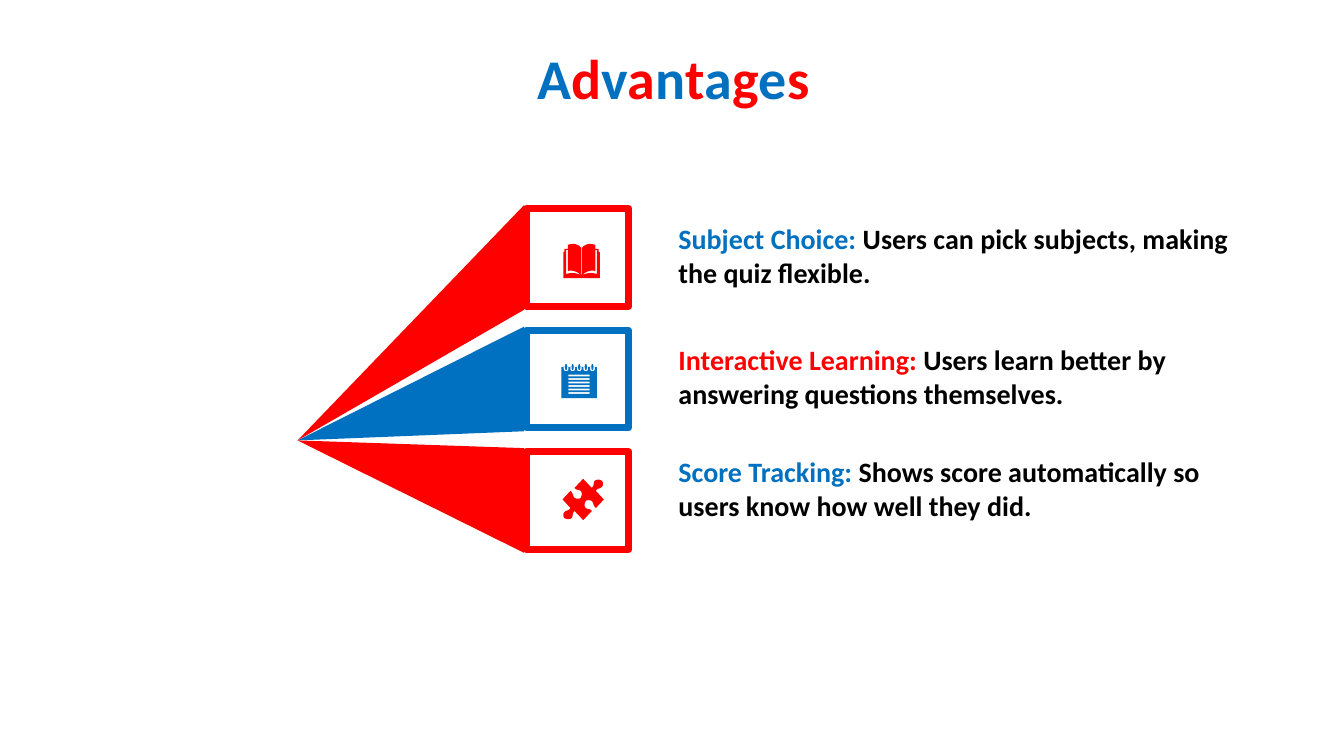
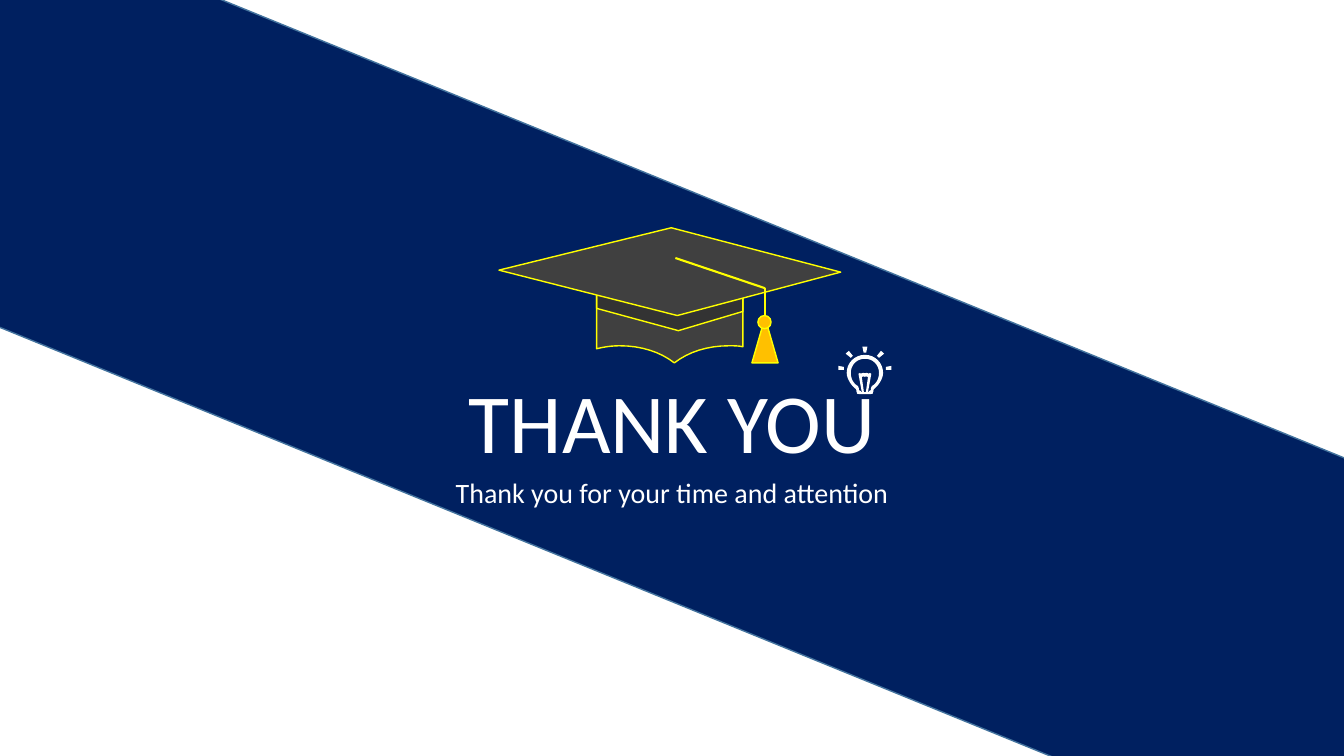
from dataclasses import dataclass
from itertools import cycle
from math import cos, pi, sin

from lxml.etree import SubElement
from pptx import Presentation
from pptx.dml.color import RGBColor
from pptx.enum.shapes import MSO_CONNECTOR, MSO_SHAPE
from pptx.enum.text import MSO_ANCHOR, MSO_AUTO_SIZE, PP_ALIGN
from pptx.oxml.ns import qn
from pptx.util import Pt

Point = tuple[float, float]
Contour = list[Point]

COLORS = {
    "red": "FF0000",
    "blue": "0070C0",
    "navy": "002060",
    "edge": "43739E",
    "white": "FFFFFF",
    "black": "000000",
    "grey": "404040",
    "yellow": "FFFF00",
    "gold": "FFC000",
}
FONT = "Calibri"
WIDTH, HEIGHT = 960, 540
BOX_LEFT, BOX_TOP, BOX_PITCH = 375.84, 149, 86.8
BOX_WIDTH, BOX_HEIGHT, BORDER = 73.4, 69.8, 5
WEDGE_TIP = (212.6, 314.6)


@dataclass
class Feature:
    heading: str
    body: str
    color: str
    text_top: float
    icon: list[Contour]
    origin: Point


def rgb(name: str) -> RGBColor:
    return RGBColor.from_string(COLORS[name])


def trace(start: Point, *steps: tuple, n: int = 8) -> Contour:
    pts = [start]
    for step in steps:
        if len(step) == 2:
            pts.append(step)
            continue
        x0, y0 = pts[-1]
        x1, y1, x2, y2, x3, y3 = step
        for k in range(1, n + 1):
            t = k / n
            a, b, c, d = (1 - t) ** 3, 3 * t * (1 - t) ** 2, 3 * t * t * (1 - t), t ** 3
            pts.append((a * x0 + b * x1 + c * x2 + d * x3,
                        a * y0 + b * y1 + c * y2 + d * y3))
    return pts


def arc(cx: float, cy: float, rx: float, ry: float, sweep: float, n: int = 16) -> Contour:
    return [(cx + rx * cos(sweep * k / n), cy + ry * sin(sweep * k / n)) for k in range(n + 1)]


def rect(x: float, y: float, w: float, h: float) -> Contour:
    return [(x, y), (x + w, y), (x + w, y + h), (x, y + h)]


def flip(pts: Contour) -> Contour:
    return [(-x, y) for x, y in reversed(pts)]


def book() -> list[Contour]:
    cover = trace((0.3, 2.9), (1.5, 1.2, 4, 0, 6.5, 0), (9.8, 0.7), (9.8, 3.6),
                  (12.2, 3.6), (12.2, 5.8), (13, 5.8), (13, 24.5))
    gap = trace((9.8, 19.4), (7, 18.7, 3.6, 19.4, 0.4, 22.3),
                (4, 20.9, 6.5, 20.2, 11, 21.6), (11, 4.3), (9.8, 4.3))
    return [cover + flip(cover), gap, flip(gap), rect(-0.25, 3, 0.5, 19)]


def notepad() -> list[Contour]:
    contours = [rect(0, 2, 25.4, 22.4)]
    contours += [rect(5, 7.6 + 2.5 * i, 15.2, 1.2) for i in range(6)]
    for i in range(5):
        cx = 3.4 + 4.7 * i
        contours.append([(cx - 1.7, 2), (cx + 1.7, 2)] + arc(cx, 3.6, 1.7, 1.6, pi))
        contours.append(arc(cx, 2.2, 0.8, 2.2, 2 * pi))
    return contours


def puzzle() -> list[Contour]:
    size = 29.5
    half = trace((28.1, 1.4), (28.8, 2.2, 29.5, 4.3, 28.1, 5.8),
                 (26.6, 7.2, 25.2, 6.5, 23.8, 8.6), (29.5, 14.8), (23.8, 20.9),
                 (21.6, 18.7, 22.3, 17.3, 20.9, 15.8),
                 (19.4, 15.1, 17.3, 15.1, 16.6, 15.8),
                 (15.8, 17.3, 15.1, 19.4, 16.6, 20.9),
                 (18.7, 22.3, 19.4, 20.9, 20.9, 23), (14.8, 29.5), (8.6, 23),
                 (6.5, 25.2, 7.9, 25.9, 6.5, 28.1), (4.3, 29.5, 2.9, 28.8, 1.4, 28.1))
    return [half + [(size - x, size - y) for x, y in half]]


def bulb() -> list[Contour]:
    glass = trace((0, 5.8), (7.2, 5.8, 13, 11.5, 13, 18.7), (13, 23, 9.4, 28.1, 6.5, 30.2),
                  (5.8, 31, 6.5, 31.7, 5.8, 32.4), (5.8, 33.8, 5, 33.8, 4.3, 33.8), (0, 33.8))
    inside = trace((0, 8.6), (5.8, 8.6, 10.1, 13, 10.1, 18.7), (10.1, 23, 7.9, 26.6, 5, 28.1),
                   (4.3, 29.5, 4.3, 29.5, 4.3, 31), (2.9, 31.7), (2.9, 32.4), (0, 32.4))
    filament = [(0, 18.9), (1.4, 18.7), (2.9, 19.2), (3.6, 18.7), (4.6, 19.4),
                (2.2, 32.4), (0.7, 32.4), (2.2, 21.6), (0.7, 21.2), (0, 21.6)]
    top_ray = [(1.8, 0), (0.9, 4.3)]
    rays = [[(11.5, 2.9), (13.7, 5), (10.1, 7.9), (8.6, 6.5)],
            [(18.9, 13.7), (18.9, 16.6), (15.1, 16.6), (15.1, 14.4)]]
    contours = [half + flip(half) for half in (glass, inside, filament, top_ray)]
    return contours + rays + [flip(ray) for ray in rays]


def paint(sp, fill: str, line: str | None = None, weight: float = 1,
          opacity: int | None = None):
    sp.shadow.inherit = False
    sp.fill.solid()
    sp.fill.fore_color.rgb = rgb(fill)
    if opacity is not None:
        clr = sp.element.spPr.find(qn("a:solidFill"))[0]
        SubElement(clr, qn("a:alpha")).set("val", str(opacity * 1000))
    if line:
        sp.line.color.rgb = rgb(line)
        sp.line.width = Pt(weight)
    else:
        sp.line.fill.background()
    return sp


def add_preset(s, kind, x: float, y: float, w: float, h: float, **look):
    return paint(s.shapes.add_shape(kind, Pt(x), Pt(y), Pt(w), Pt(h)), **look)


def add_outline(s, contours: list[Contour], origin: Point = (0, 0), **look):
    ox, oy = origin
    builder = None
    for contour in contours:
        start, *rest = [(Pt(ox + x), Pt(oy + y)) for x, y in contour]
        if builder is None:
            builder = s.shapes.build_freeform(*start)
        else:
            builder.move_to(*start)
        builder.add_line_segments(rest, close=True)
    return paint(builder.convert_to_shape(), **look)


def add_line(s, start: Point, end: Point, color: str, weight: float):
    line = s.shapes.add_connector(MSO_CONNECTOR.STRAIGHT, *map(Pt, start + end))
    line.line.color.rgb = rgb(color)
    line.line.width = Pt(weight)
    SubElement(line.element.spPr, qn("a:effectLst"))


def write(sp, runs: list[tuple[str, str]], *, at: tuple, size: float, bold: bool = False,
          align=PP_ALIGN.LEFT, anchor=MSO_ANCHOR.MIDDLE, inset: float = 7.2):
    sp.left, sp.top, sp.width, sp.height = map(Pt, at)
    tf = sp.text_frame
    tf.word_wrap = True
    tf.auto_size = MSO_AUTO_SIZE.NONE
    tf.vertical_anchor = anchor
    tf.margin_left = tf.margin_right = Pt(inset)
    tf.margin_top = tf.margin_bottom = Pt(3.6)
    p = tf.paragraphs[0]
    p.alignment = align
    for text, color in runs:
        r = p.add_run()
        r.text = text
        r.font.name, r.font.size, r.font.bold = FONT, Pt(size), bold
        r.font.color.rgb = rgb(color)


def add_text(s, runs: list[tuple[str, str]], **style):
    write(s.shapes.add_textbox(0, 0, 0, 0), runs, **style)


def add_title(s, runs: list[tuple[str, str]], **style):
    title = s.shapes.title
    s.shapes.element.append(title.element)
    write(title, runs, align=PP_ALIGN.CENTER, **style)


def advantages_slide(prs):
    s = prs.slides.add_slide(prs.slide_layouts[5])
    add_title(s, list(zip("Advantages", cycle(("blue", "red")))),
              at=(25.2, 26.6, 911.5, 56.9), size=40, bold=True)
    features = [
        Feature("Subject Choice: ", "Users can pick subjects, making the quiz flexible.",
                "red", 154.8, book(), (415.4, 174.2)),
        Feature("Interactive Learning: ", "Users learn better by answering questions themselves.",
                "blue", 241.2, notepad(), (401, 260)),
        Feature("Score Tracking: ", "Shows score automatically so users know how well they did.",
                "red", 321.1, puzzle(), (401.8, 342)),
    ]
    for i, f in enumerate(features):
        top = BOX_TOP + BOX_PITCH * i
        edge, overhang = BOX_LEFT - 1.44, BORDER / 2
        add_preset(s, MSO_SHAPE.RECTANGLE, BOX_LEFT, top, BOX_WIDTH, BOX_HEIGHT,
                   fill="white", line=f.color, weight=BORDER)
        add_outline(s, [[WEDGE_TIP, (edge, top - overhang), (edge, top + BOX_HEIGHT + overhang)]],
                    fill=f.color)
        add_outline(s, f.icon, f.origin, fill=f.color)
        heading_color = "blue" if f.color == "red" else "red"
        add_text(s, [(f.heading, heading_color), (f.body, "black")],
                 at=(476, f.text_top, 413.3, 56), size=20, bold=True,
                 anchor=MSO_ANCHOR.TOP, inset=8.64)


def closing_slide(prs):
    s = prs.slides.add_slide(prs.slide_layouts[5])
    band = add_preset(s, MSO_SHAPE.RECTANGLE, -98.6, 151.2, 1201, 276.5,
                      fill="navy", line="edge")
    band.rotation = 22.2
    add_title(s, [("THANK YOU", "white")], at=(0, 260, WIDTH, 80), size=60)
    add_text(s, [("Thank you for your time and attention", "white")],
             at=(0, 335.5, WIDTH, 31.7), size=20, align=PP_ALIGN.CENTER)

    cap = trace((426.2, 188.6), (530.6, 188.6), (530.6, 247.7),
                (527.8, 247, 524.2, 247, 520.6, 247),
                (505.4, 247, 491.8, 251.3, 481.7, 259.2),
                (471.6, 251.3, 457.9, 247, 442.8, 247),
                (437, 247, 432, 247.7, 426.2, 249.1))
    shade = [(426.2, 202.3), (530.6, 202.3), (530.6, 222.5), (484.6, 236.2), (426.2, 220.3)]
    board = [(479.5, 162.7), (356.4, 193), (483.8, 225.4), (600.5, 194.4)]
    add_outline(s, [cap], fill="grey", line="yellow")
    add_outline(s, [shade], fill="black", line="yellow", opacity=20)
    add_outline(s, [board], fill="grey", line="yellow")

    button, bend, knot = (482.4, 184.3), (546.5, 205.9), (546.5, 241.2)
    add_line(s, button, bend, "yellow", 1.5)
    add_line(s, bend, knot, "yellow", 1.5)
    add_preset(s, MSO_SHAPE.ISOSCELES_TRIANGLE, 537.1, 226.8, 18.7, 32.4,
               fill="gold", line="yellow")
    add_preset(s, MSO_SHAPE.OVAL, 541.4, 225.4, 9.4, 9.4, fill="gold", line="yellow")
    add_outline(s, bulb(), (617.8, 247.7), fill="white")


def main():
    prs = Presentation()
    prs.slide_width, prs.slide_height = Pt(WIDTH), Pt(HEIGHT)
    advantages_slide(prs)
    closing_slide(prs)
    prs.save("out.pptx")


if __name__ == "__main__":
    main()
